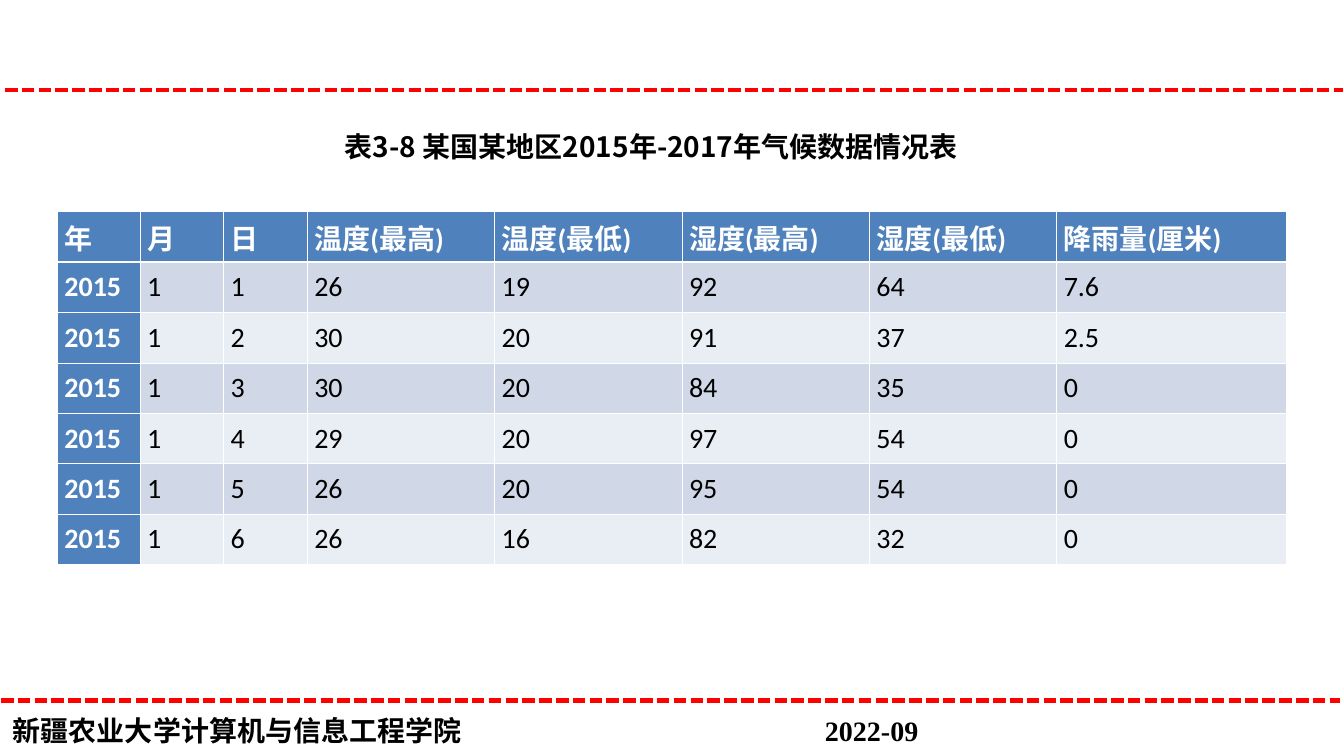
from pptx import Presentation
from pptx.dml.color import RGBColor
from pptx.enum.dml import MSO_LINE
from pptx.enum.shapes import MSO_CONNECTOR
from pptx.enum.text import MSO_ANCHOR, MSO_AUTO_SIZE, PP_ALIGN
from pptx.oxml.ns import qn
from pptx.util import Inches, Pt
from lxml.etree import SubElement

WIDTH, HEIGHT = 13.34, 7.5
RED = RGBColor(0xFF, 0x00, 0x00)
BLACK = RGBColor(0x00, 0x00, 0x00)
WHITE = RGBColor(0xFF, 0xFF, 0xFF)
BLUE = RGBColor(0x4F, 0x81, 0xBD)
BANDS = (RGBColor(0xD0, 0xD8, 0xE8), RGBColor(0xE9, 0xED, 0xF4))
CJK_FONT = "Noto Sans CJK SC"

HEADINGS = ("年", "月", "日", "温度(最高)", "温度(最低)",
            "湿度(最高)", "湿度(最低)", "降雨量(厘米)")
YEAR, MONTH = "2015", "1"
# Day, highest and lowest temperature, highest and lowest humidity, rainfall
DAYS = (
    ("1", "26", "19", "92", "64", "7.6"),
    ("2", "30", "20", "91", "37", "2.5"),
    ("3", "30", "20", "84", "35", "0"),
    ("4", "29", "20", "97", "54", "0"),
    ("5", "26", "20", "95", "54", "0"),
    ("6", "26", "16", "82", "32", "0"),
)
COLUMNS = (0.82, 0.83, 0.83, 1.86, 1.86, 1.86, 1.86, 2.28)
ROW = 0.5
THIN, THICK = Pt(0.45), Pt(1.47)


def write(para, text, **formats):
    """Add a 20 pt run, with the CJK font for its Chinese characters."""
    span = para.add_run()
    span.text = text
    formats = {"size": Pt(20), "color": BLACK, "bold": True, **formats}
    span.font.color.rgb = formats.pop("color")
    for name, value in formats.items():
        setattr(span.font, name, value)
    SubElement(span.font._element, qn("a:ea"), typeface=CJK_FONT)


def place(shape, left, top, width, height):
    for name, value in zip(("left", "top", "width", "height"),
                           (left, top, width, height)):
        setattr(shape, name, Inches(value))


def add_caption(page, text):
    title = page.shapes.title
    place(title, 3.04, 1.23, 6.85, 0.44)
    frame = title.text_frame
    for name, value in {"word_wrap": True, "auto_size": MSO_AUTO_SIZE.NONE,
                        "vertical_anchor": MSO_ANCHOR.MIDDLE}.items():
        setattr(frame, name, value)
    para = frame.paragraphs[0]
    para.alignment = PP_ALIGN.CENTER
    write(para, text, name=CJK_FONT)


def add_dashed_rule(page, left, right, y):
    rule = page.shapes.add_connector(MSO_CONNECTOR.STRAIGHT, Inches(left),
                                     Inches(y), Inches(right), Inches(y))
    rule.line.color.rgb = RED
    rule.line.width = Pt(3)
    rule.line.dash_style = MSO_LINE.SQUARE_DOT
    SubElement(rule._element.spPr, qn("a:effectLst"))


def add_footer(page, school, date):
    """Write the school at the left and the date at a tab stop."""
    box = page.shapes.add_textbox(0, 0, 0, 0)
    place(box, 0.03, 7.03, 13.26, 0.44)
    box.text_frame.word_wrap = True
    para = box.text_frame.paragraphs[0]
    stops = SubElement(para._p.get_or_add_pPr(), qn("a:tabLst"))
    SubElement(stops, qn("a:tab"), pos=str(Inches(8.06)), algn="l")
    write(para, f"{school}\t{date}", name="Times New Roman")


def set_borders(cell, **widths):
    """Draw white borders; widths are keyed by the sides L, R, T and B."""
    properties = cell._tc.get_or_add_tcPr()
    for side, width in widths.items():
        line = SubElement(properties, qn(f"a:ln{side}"), w=str(width))
        fill = SubElement(line, qn("a:solidFill"))
        SubElement(fill, qn("a:srgbClr"), val=str(WHITE))


def fill_cell(cell, text, row, column):
    heading = row == 0 or column == 0
    set_borders(cell, L=THIN, R=THIN, T=THICK if row == 1 else THIN,
                B=THICK if row == 0 else THIN)
    cell.fill.solid()
    cell.fill.fore_color.rgb = BLUE if heading else BANDS[(row - 1) % 2]
    for name, value in {"vertical_anchor": MSO_ANCHOR.MIDDLE,
                        "margin_left": Inches(0.07), "margin_right": Inches(0.07),
                        "margin_top": Inches(0.05),
                        "margin_bottom": Inches(0.05)}.items():
        setattr(cell, name, value)
    write(cell.text_frame.paragraphs[0], text, name="Calibri",
          color=WHITE if heading else BLACK, bold=heading)


def add_climate_table(page):
    records = [HEADINGS] + [(YEAR, MONTH, *day) for day in DAYS]
    table = page.shapes.add_table(
        len(records), len(COLUMNS), Inches(0.57), Inches(2.1),
        Inches(sum(COLUMNS)), Inches(ROW * len(records))).table
    table.first_col = True
    for column, width in zip(table.columns, COLUMNS):
        column.width = Inches(width)
    for row, record in enumerate(records):
        for column, text in enumerate(record):
            fill_cell(table.cell(row, column), text, row, column)


def main():
    deck = Presentation()
    deck.slide_width, deck.slide_height = Inches(WIDTH), Inches(HEIGHT)
    page = deck.slides.add_slide(deck.slide_layouts[5])
    add_dashed_rule(page, 0.01, 13.3, 6.95)
    add_footer(page, "新疆农业大学计算机与信息工程学院", "2022-09")
    add_dashed_rule(page, 0.05, 13.33, 0.89)
    add_climate_table(page)
    add_caption(page, "表3-8 某国某地区2015年-2017年气候数据情况表")
    deck.save("out.pptx")


if __name__ == "__main__":
    main()
